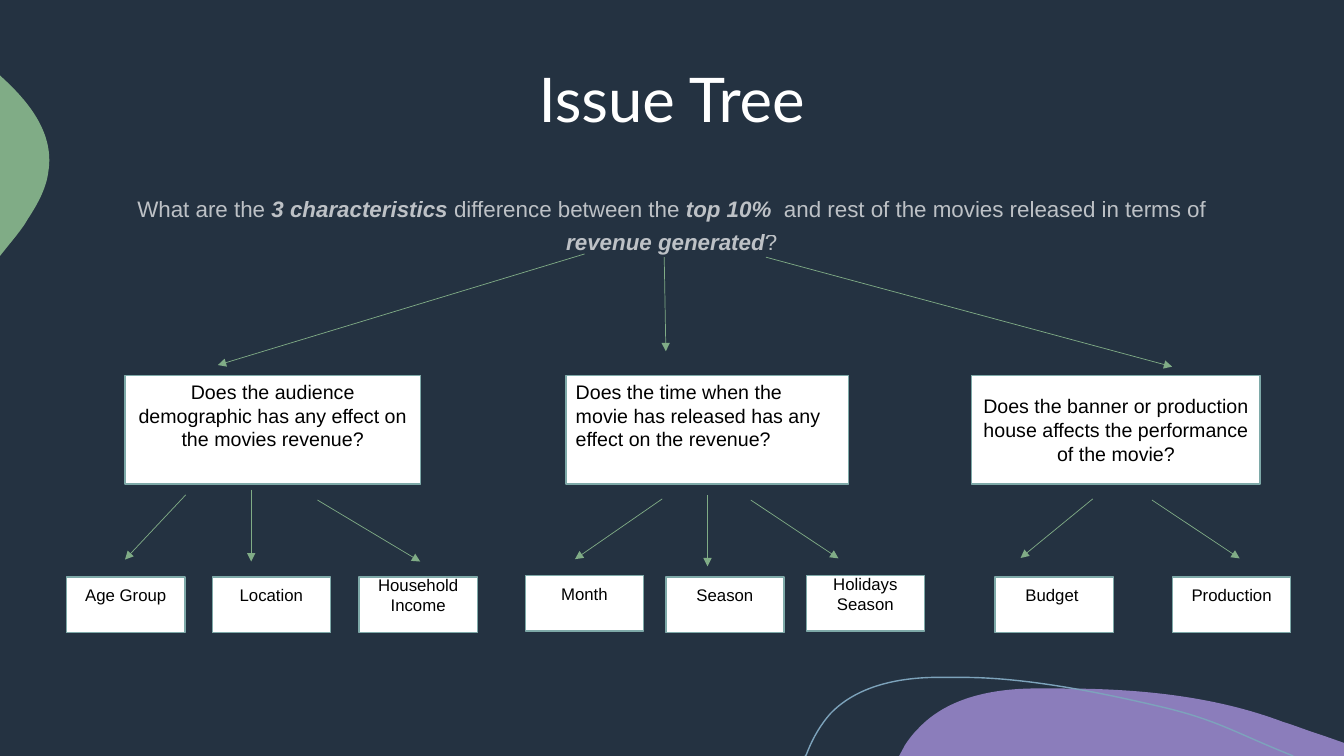
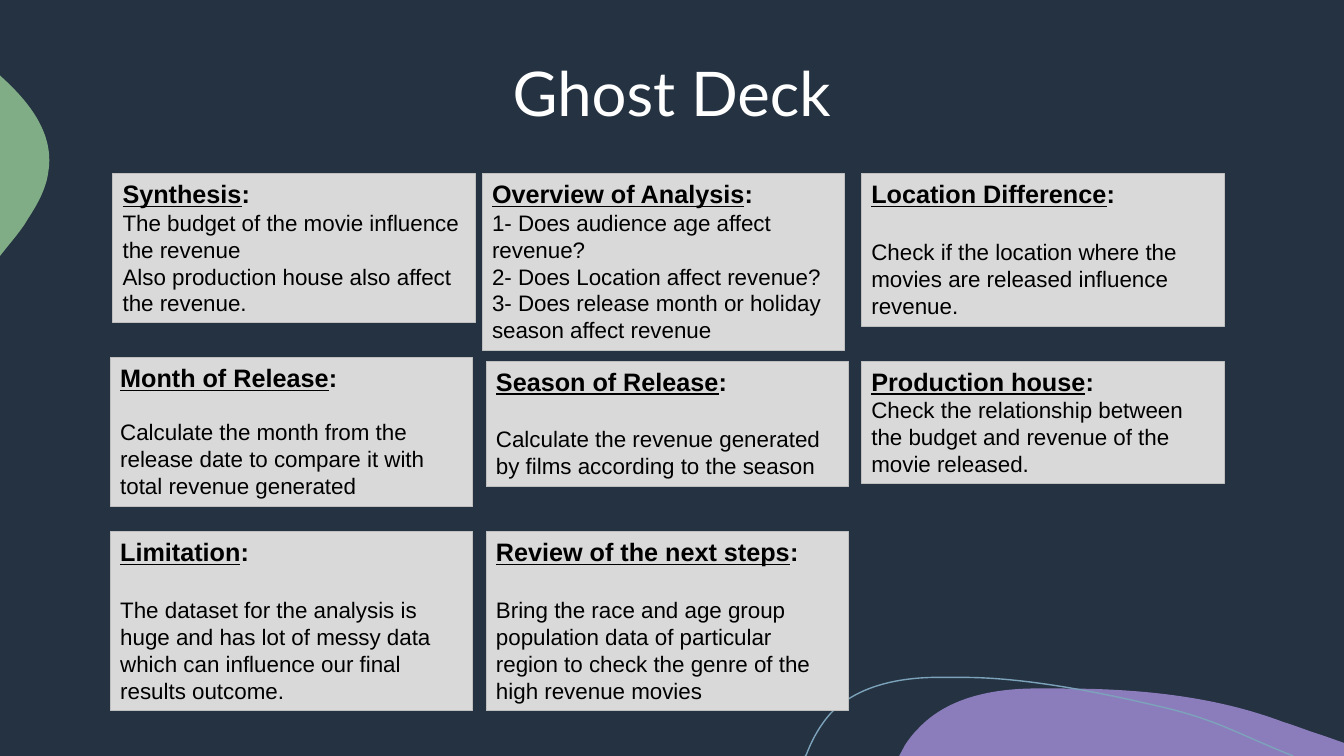
"""Build a two-slide deck: an issue tree and a ghost deck of analysis cards."""
from lxml import etree
from pptx import Presentation
from pptx.dml.color import RGBColor
from pptx.enum.shapes import MSO_CONNECTOR, MSO_SHAPE
from pptx.enum.text import MSO_ANCHOR, PP_ALIGN
from pptx.oxml.ns import qn
from pptx.util import Cm, Pt

RECTANGLE = MSO_SHAPE.RECTANGLE
STRAIGHT = MSO_CONNECTOR.STRAIGHT
TOP, MIDDLE = MSO_ANCHOR.TOP, MSO_ANCHOR.MIDDLE
LEFT, CENTER = PP_ALIGN.LEFT, PP_ALIGN.CENTER

NAVY = RGBColor(0x24, 0x32, 0x41)
PURPLE = RGBColor(0x8B, 0x7D, 0xBB)
GREEN = RGBColor(0x80, 0xAC, 0x86)
BLUE = RGBColor(0x7D, 0xA3, 0xBB)
TEAL = RGBColor(0x7E, 0xA9, 0xA8)
WHITE = RGBColor(0xFF, 0xFF, 0xFF)
BLACK = RGBColor(0, 0, 0)
CARD_FILL = RGBColor(0xD9, 0xD9, 0xD9)
CARD_LINE = RGBColor(0xBF, 0xBF, 0xBF)

BLANK_LAYOUT = 6
PURPLE_BLOB = [
    (26.77, 17.35), (28.65, 17.35, 30.58, 17.53, 32.33, 18.19),
    (32.66, 18.29, 32.97, 18.42, 33.3, 18.52), (33.87, 18.72),
    (33.87, 19.05), (22.66, 19.05), (22.81, 18.77),
    (22.91, 18.62, 23.01, 18.49, 23.14, 18.36),
    (23.85, 17.6, 24.94, 17.37, 25.98, 17.35),
    (26.24, 17.35, 26.49, 17.35, 26.77, 17.35),
]
GREEN_BLOB = [
    (0, 1.9), (0.03, 1.93), (0.76, 2.59, 1.37, 3.38, 1.22, 4.32),
    (1.17, 4.75, 0.94, 5.16, 0.69, 5.54),
    (0.61, 5.69, 0.43, 5.92, 0.2, 6.2), (0, 6.45),
]
BLUE_WAVE = [
    (20.29, 19.05), (20.32, 19.02),
    (20.47, 18.62, 20.68, 18.26, 20.93, 17.98),
    (21.59, 17.3, 22.58, 17.09, 23.52, 17.07), (24.26, 17.07),
    (25.96, 17.07, 27.94, 17.5, 29.34, 17.83),
    (30.71, 18.16, 31.14, 18.47, 32.59, 19.05),
]

QUESTION = [
    ("What are the ", False), ("3 characteristics ", True),
    ("difference between the ", False), ("top 10%  ", True),
    ("and rest of the movies released in terms of ", False),
    ("revenue generated", True), ("?", False),
]
BRANCHES = [
    (3.15, 7.45, CENTER, 0.86,
     "Does the audience demographic has any effect on the movies revenue?"),
    (14.26, 7.12, LEFT, 0.86,
     "Does the time when the movie has released has any effect on the revenue?"),
    (24.49, 7.27, CENTER, 0.13,
     "Does the banner or production house affects the performance of the movie?"),
]
LEAVES = [
    (1.68, 14.54, "Age Group"), (5.35, 14.54, "Location"),
    (9.05, 14.54, "Household Income"), (13.24, 14.5, "Month"),
    (16.78, 14.54, "Season"), (20.32, 14.5, "Holidays Season"),
    (25.08, 14.54, "Budget "), (29.55, 14.54, "Production"),
]
ARROWS = [
    (14.73, 6.4, 5.49, 9.2), (16.74, 6.48, 16.78, 8.85), (19.3, 6.48, 29.54, 9.24),
    (4.68, 12.47, 3.15, 14.1), (6.33, 12.34, 6.33, 14.15), (8, 12.6, 10.59, 14.15),
    (16.69, 12.57, 14.49, 14.09), (17.83, 12.47, 17.83, 14.27), (18.92, 12.6, 21.13, 14.07),
    (27.54, 12.57, 25.72, 14.06), (29.03, 12.6, 31.24, 14.07),
]
CARDS = [
    (2.84, 4.38, 3.76, "Synthesis", 0,
     ["The budget of the movie influence the revenue",
      "Also production house also affect the revenue."]),
    (12.15, 4.38, 4.45, "Overview of Analysis", 0,
     ["1- Does audience age affect revenue?",
      "2- Does Location affect revenue?",
      "3- Does release month or holiday season affect revenue"]),
    (21.71, 4.37, 3.85, "Location Difference", 21.4,
     ["Check if the location where the movies are released influence revenue."]),
    (2.78, 9.01, 3.76, "Month of Release", 18.4,
     ["Calculate the month from the release date to compare it with total revenue generated"]),
    (12.25, 9.1, 3.17, "Season of Release", 20.7,
     ["Calculate the revenue generated by films according to the season"]),
    (21.71, 9.1, 3.08, "Production house", 0,
     ["Check the relationship between the budget and revenue of the movie released."]),
    (2.78, 13.39, 4.52, "Limitation", 21.4,
     ["The dataset for the analysis is huge and has lot of messy data "
      "which can influence our final results outcome."]),
    (12.25, 13.39, 4.52, "Review of the next steps", 21.4,
     ["Bring the race and age group population data of particular region "
      "to check the genre of the high revenue movies"]),
]


def write(paragraph, text, size=16, color=BLACK, font="Arial", bold=False,
          italic=False, underline=False, opacity=None):
    """Add a formatted run of text to a paragraph."""
    run = paragraph.add_run()
    run.text = text
    run.font.name = font
    run.font.size = Pt(size)
    run.font.bold = bold
    run.font.italic = italic
    run.font.underline = underline
    run.font.color.rgb = color
    if opacity is not None:
        color_element = run.font._element.find(".//" + qn("a:srgbClr"))
        etree.SubElement(color_element, qn("a:alpha")).set("val", str(opacity * 1000))


def bend(shape, segments):
    """Turn the straight edges of six-number segments into cubic curves."""
    edges = list(shape._element.iter(qn("a:lnTo")))
    for segment, edge in zip(segments[1:], edges):
        if len(segment) == 2:
            continue
        edge.tag = qn("a:cubicBezTo")
        for index in (0, 1):
            x, y = segment[2 * index:2 * index + 2]
            point = etree.Element(qn("a:pt"))
            point.set("x", str(Cm(x) - shape.left))
            point.set("y", str(Cm(y) - shape.top))
            edge.insert(index, point)


class Deck:
    """Hold the shared style and the current slide."""

    def __init__(self):
        """Start an empty wide presentation with a decorated layout."""
        self.presentation = Presentation()
        self.presentation.slide_width = Cm(33.87)
        self.presentation.slide_height = Cm(19.05)
        self.layout = self.presentation.slide_layouts[BLANK_LAYOUT]
        background = self.layout.background.fill
        background.solid()
        background.fore_color.rgb = NAVY
        self.slide = None

    def add_slide(self, title, top, height):
        """Add a slide with its title."""
        first = self.slide is None
        self.slide = self.presentation.slides.add_slide(self.layout)
        if first:
            self.decorate_layout()
        paragraph = self.text(2.11, top, 29.64, height, anchor=MIDDLE)
        paragraph.line_spacing = 0.9
        write(paragraph, title, size=44, color=WHITE, font="Lato")

    def decorate_layout(self):
        """Place the curved outlines on the layout."""
        for segments, fill, line in (
                (PURPLE_BLOB, PURPLE, None), (GREEN_BLOB, GREEN, None),
                (BLUE_WAVE, None, BLUE)):
            shape = self.outline(segments, fill, line)
            self.layout.shapes._spTree.append(shape._element)

    def paint(self, shape, fill, line, line_width=1):
        """Set the fill and line of a shape and drop its shadow."""
        shape.shadow.inherit = False
        if fill is None:
            shape.fill.background()
        else:
            shape.fill.solid()
            shape.fill.fore_color.rgb = fill
        if line is None:
            shape.line.fill.background()
        else:
            shape.line.color.rgb = line
            shape.line.width = Pt(line_width)

    def outline(self, segments, fill, line):
        """Draw a curved outline, closed when it is filled."""
        points = [(Cm(segment[-2]), Cm(segment[-1])) for segment in segments]
        builder = self.slide.shapes.build_freeform(*points[0])
        builder.add_line_segments(points[1:], close=fill is not None)
        shape = builder.convert_to_shape()
        bend(shape, segments)
        self.paint(shape, fill, line)
        return shape

    def text(self, left, top, width, height, anchor=TOP):
        """Add a centred text box and return its paragraph."""
        shape = self.slide.shapes.add_textbox(Cm(left), Cm(top), Cm(width), Cm(height))
        frame = shape.text_frame
        frame.word_wrap = True
        frame.vertical_anchor = anchor
        frame.paragraphs[0].alignment = CENTER
        return frame.paragraphs[0]

    def box(self, left, top, width, height, fill, line, line_width, anchor):
        """Add a rectangle and return its text frame."""
        shape = self.slide.shapes.add_shape(
            RECTANGLE, Cm(left), Cm(top), Cm(width), Cm(height))
        self.paint(shape, fill, line, line_width)
        frame = shape.text_frame
        frame.word_wrap = True
        frame.vertical_anchor = anchor
        return frame

    def node(self, left, top, width, height, text, size, align, bottom_inset):
        """Add a white box of the tree."""
        frame = self.box(left, top, width, height, WHITE, TEAL, 1, MIDDLE)
        frame.margin_bottom = Cm(bottom_inset)
        frame.paragraphs[0].alignment = align
        write(frame.paragraphs[0], text, size=size)

    def card(self, left, top, height, heading, gap, lines):
        """Add a grey card with an underlined heading and body lines."""
        frame = self.box(left, top, 9.14, height, CARD_FILL, CARD_LINE, 0.75, TOP)
        paragraph = frame.paragraphs[0]
        paragraph.alignment = LEFT
        paragraph.space_after = Pt(gap)
        write(paragraph, heading, size=18, bold=True, underline=True)
        write(paragraph, ":", size=18, bold=True)
        for line in lines:
            paragraph = frame.add_paragraph()
            paragraph.alignment = LEFT
            write(paragraph, line)

    def arrow(self, *ends):
        """Draw a thin green arrow between two points."""
        connector = self.slide.shapes.add_connector(STRAIGHT, *map(Cm, ends))
        connector.line.color.rgb = GREEN
        connector.line.width = Pt(0.5)
        properties = connector._element.spPr
        line = properties.find(qn("a:ln"))
        etree.SubElement(line, qn("a:tailEnd")).set("type", "triangle")
        etree.SubElement(properties, qn("a:effectLst"))


def main():
    """Build and save the deck."""
    deck = Deck()

    deck.add_slide("Issue Tree", 1.52, 2.11)
    paragraph = deck.text(2.11, 4.62, 29.64, 12.34)
    paragraph.line_spacing = 1.25
    paragraph.space_before = Pt(10)
    for text, strong in QUESTION:
        write(paragraph, text, color=WHITE, bold=strong, italic=strong, opacity=70)
    for left, width, align, inset, text in BRANCHES:
        deck.node(left, 9.46, width, 2.74, text, 14, align, inset)
    for left, top, text in LEAVES:
        deck.node(left, top, 2.98, 1.4, text, 12, CENTER, 0.61)
    for ends in ARROWS:
        deck.arrow(*ends)

    deck.add_slide("Ghost Deck", 1.35, 2.16)
    for card in CARDS:
        deck.card(*card)

    deck.presentation.save("out.pptx")


if __name__ == "__main__":
    main()
